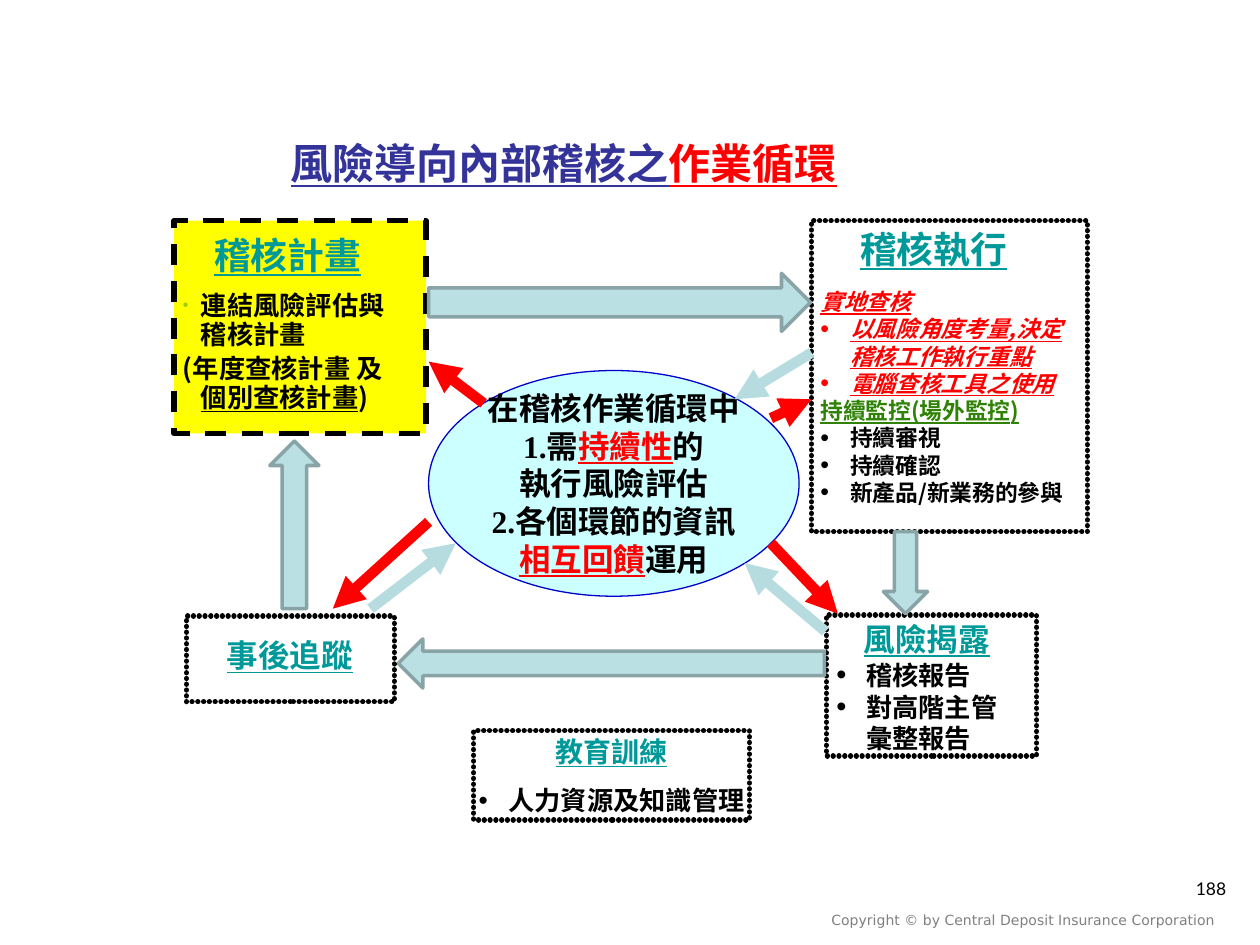
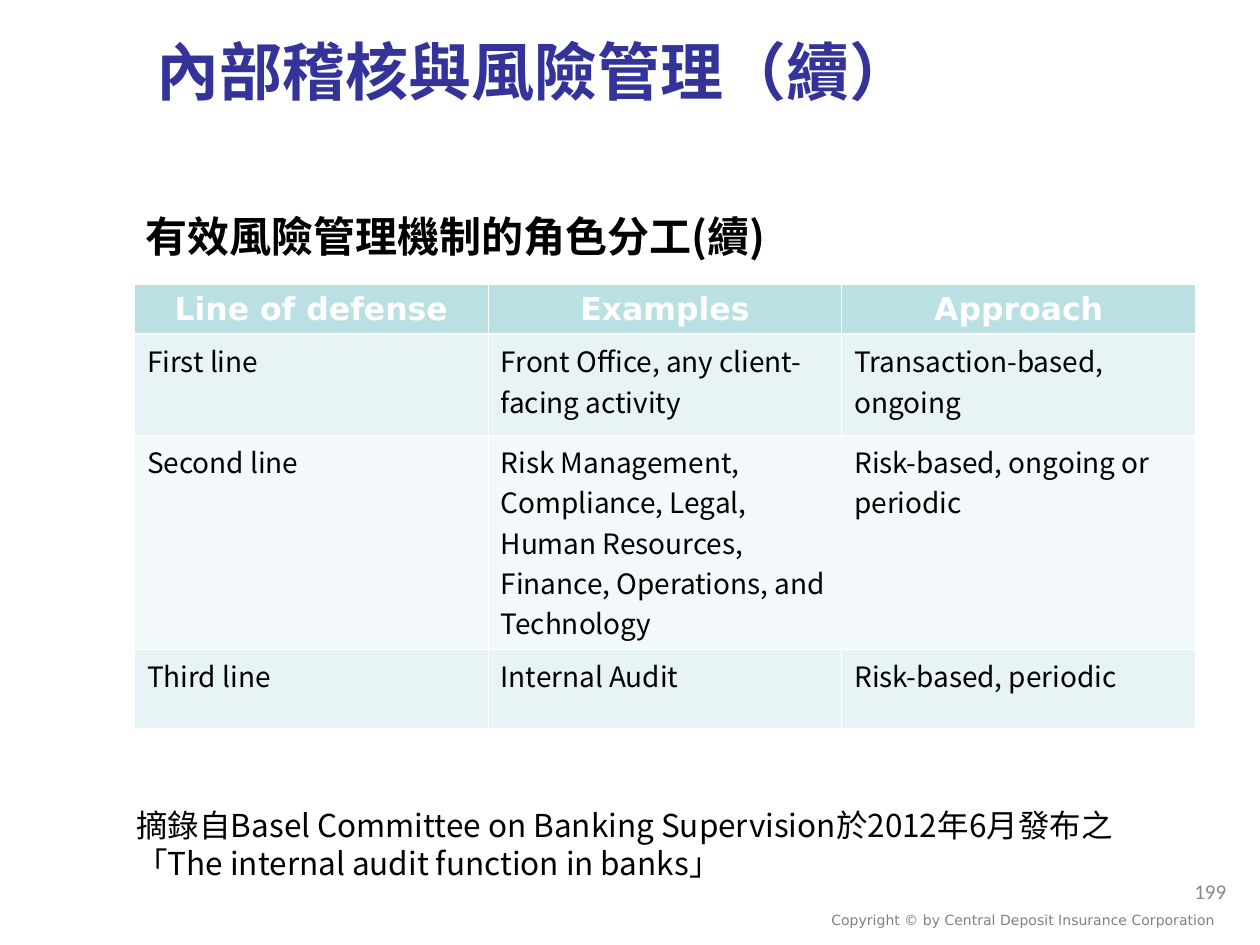
from dataclasses import dataclass, replace

from lxml.etree import SubElement
from pptx import Presentation
from pptx.dml.color import RGBColor
from pptx.enum.dml import MSO_LINE
from pptx.enum.shapes import MSO_CONNECTOR, MSO_SHAPE
from pptx.enum.text import MSO_ANCHOR as Anchor, MSO_AUTO_SIZE, PP_ALIGN as Align
from pptx.oxml.ns import qn
from pptx.util import Cm, Pt

CJK = "Noto Sans CJK SC"
BLACK, WHITE, RED, GREEN = "000000", "FFFFFF", "FF0000", "2F8206"
NAVY, TEAL, AQUA, AQUA_EDGE, FEEDBACK = "333399", "009999", "BBE0E3", "89A4A7", "B6DCDF"
BAND_DARK, BAND_LIGHT = "E7F3F4", "F3F9FA"
COPYRIGHT = "Copyright © by Central Deposit Insurance Corporation"
LEADING = 1.2
NARROW = (0.2, 0.1)
WIDE = (0.25, 0.13)
HANG = 0.6


@dataclass(frozen=True)
class Style:
    size: float
    color: str = BLACK
    font: str = CJK
    bold: bool = True
    italic: bool = False
    underline: bool = False


@dataclass(frozen=True)
class Para:
    runs: tuple
    bullet: str = ""
    bullet_size: int = 110
    hang: float = 0
    before: float = 0


def line(text, style, **options):
    return Para(((text, style),), **options)


def bullet(text, style, **options):
    return line(text, style, **{"bullet": style.color, "hang": HANG, **options})


def rgb(color):
    return RGBColor.from_string(color)


def box(bounds):
    return [Cm(length) for length in bounds]


def add_run(paragraph, text, style):
    run = paragraph.add_run()
    run.text = text
    font = run.font
    font.size, font.name = Pt(style.size), style.font
    font.bold, font.italic, font.underline = style.bold, style.italic, style.underline
    font.color.rgb = rgb(style.color)
    SubElement(run._r.get_or_add_rPr(), qn("a:ea")).set("typeface", CJK)


def set_bullet(paragraph, content):
    props = paragraph._p.get_or_add_pPr()
    props.set("marL", str(Cm(content.hang)))
    props.set("indent", str(-Cm(content.hang)))
    if not content.bullet:
        SubElement(props, qn("a:buNone"))
        return
    SubElement(SubElement(props, qn("a:buClr")), qn("a:srgbClr")).set("val", content.bullet)
    SubElement(props, qn("a:buSzPct")).set("val", str(content.bullet_size * 1000))
    SubElement(props, qn("a:buFont")).set("typeface", "Arial")
    SubElement(props, qn("a:buChar")).set("char", "•")


def write(frame, paragraphs, align=Align.LEFT, leading=LEADING):
    for index, content in enumerate(paragraphs):
        paragraph = frame.add_paragraph() if index else frame.paragraphs[0]
        set_bullet(paragraph, content)
        paragraph.alignment = align
        paragraph.space_before = Pt(content.before)
        if leading:
            paragraph.line_spacing = Pt(round(content.runs[0][1].size * leading, 1))
        for text, style in content.runs:
            add_run(paragraph, text, style)


def set_frame(frame, insets, anchor=Anchor.TOP, wrap=True):
    frame.auto_size = MSO_AUTO_SIZE.NONE
    frame.word_wrap = wrap
    frame.vertical_anchor = anchor
    frame.margin_left = frame.margin_right = Cm(insets[0])
    frame.margin_top = frame.margin_bottom = Cm(insets[1])


def add_text(slide, bounds, paragraphs, insets=WIDE, **options):
    frame = slide.shapes.add_textbox(*box(bounds)).text_frame
    set_frame(frame, insets)
    write(frame, paragraphs, **options)


def fill_placeholder(holder, bounds, paragraphs, insets):
    holder.left, holder.top, holder.width, holder.height = box(bounds)
    set_frame(holder.text_frame, insets)
    write(holder.text_frame, paragraphs)


def add_title(slide, bounds, *runs):
    fill_placeholder(slide.shapes.title, bounds, [Para(runs)], WIDE)


def add_heading(slide, bounds, text, size):
    add_text(slide, bounds, [line(text, Style(size, TEAL, underline=True))],
             NARROW, align=Align.CENTER)


def add_figure(slide, kind, bounds, fill, edge, weight):
    figure = slide.shapes.add_shape(kind, *box(bounds))
    figure.shadow.inherit = False
    if fill:
        figure.fill.solid()
        figure.fill.fore_color.rgb = rgb(fill)
    else:
        figure.fill.background()
    figure.line.color.rgb = rgb(edge)
    figure.line.width = Pt(weight)
    return figure


def bead_outline(figure):
    outline = figure.element.spPr.find(qn("a:ln"))
    outline.set("cap", "rnd")
    SubElement(SubElement(outline, qn("a:custDash")), qn("a:ds"), d="100000", sp="10000")


def add_stage(slide, bounds, fill=None, dash=None):
    stage = add_figure(slide, MSO_SHAPE.RECTANGLE, bounds, fill, BLACK, 3)
    if dash:
        stage.line.dash_style = dash
    else:
        bead_outline(stage)
    return stage


def add_arrow(slide, start, end, color):
    arrow = slide.shapes.add_connector(MSO_CONNECTOR.STRAIGHT, *box(start + end))
    arrow.line.color.rgb = rgb(color)
    arrow.line.width = Pt(6)
    props = arrow.element.spPr
    SubElement(props.find(qn("a:ln")), qn("a:tailEnd")).set("type", "triangle")
    SubElement(props, qn("a:effectLst"))


def set_borders(cell, header):
    props = cell._tc.get_or_add_tcPr()
    for side in ("lnL", "lnR", "lnT", "lnB"):
        weight = 1.47 if header and side == "lnB" else 0.45
        border = SubElement(props, qn(f"a:{side}"), w=str(Pt(weight)))
        SubElement(SubElement(border, qn("a:solidFill")), qn("a:srgbClr")).set("val", WHITE)


def add_grid(slide, bounds, heights, rows):
    grid = slide.shapes.add_table(len(rows), len(rows[0]), *box(bounds)).table
    header_style = Style(18, WHITE, "DejaVu Sans")
    entry_style = Style(16, bold=False)
    for index, (height, entries) in enumerate(zip(heights, rows)):
        header = index == 0
        grid.rows[index].height = Cm(height)
        fill = AQUA if header else BAND_DARK if index % 2 else BAND_LIGHT
        for cell, text in zip(grid.rows[index].cells, entries):
            set_borders(cell, header)
            cell.fill.solid()
            cell.fill.fore_color.rgb = rgb(fill)
            write(cell.text_frame, [line(text, header_style if header else entry_style)],
                  Align.CENTER if header else Align.LEFT, None)


def add_footer(slide, number, number_style):
    add_text(slide, (16.51, 18.24, 8.89, 0.61),
             [line(COPYRIGHT, Style(8, "808080", "DejaVu Sans", False))], leading=None)
    add_text(slide, (19.69, 17.58, 5.28, 1.27), [line(number, number_style)],
             align=Align.RIGHT, leading=None)


def add_stages(slide):
    add_stage(slide, (3.76, 12.42, 4.19, 1.73))
    add_stage(slide, (16.66, 12.4, 4.24, 2.84))
    add_stage(slide, (16.36, 4.45, 5.56, 6.27))
    add_stage(slide, (3.51, 4.45, 5.08, 4.29), "FFFF00", MSO_LINE.DASH)
    add_heading(slide, (4.12, 12.73, 3.45, 0.97), "事後追蹤", 18)
    add_heading(slide, (3.8, 4.6, 4, 1.09), "稽核計畫", 21)
    add_heading(slide, (16.82, 4.47, 4, 1.09), "稽核執行", 21)
    add_heading(slide, (16.93, 12.4, 3.5, 0.97), "風險揭露", 18)

    plain = Style(15)
    add_text(slide, (3.49, 5.8, 4.93, 2.62), [
        bullet("連結風險評估與稽核計畫", plain, bullet="99CC00", bullet_size=60, hang=0.36),
        Para((("(年度查核計畫 及", plain),
              ("個別查核計畫", replace(plain, underline=True)),
              (")", plain)), hang=0.36, before=3.7),
    ], NARROW, leading=LEADING * 0.9)

    training = add_stage(slide, (9.55, 14.73, 5.56, 1.8)).text_frame
    set_frame(training, WIDE, Anchor.MIDDLE, False)
    write(training, [
        line("教育訓練", Style(16, TEAL, "Arial", underline=True)),
        bullet("人力資源及知識管理", plain, bullet_size=100, before=9.4),
    ], Align.CENTER)


def add_stage_lists(slide):
    execution, disclosure = list(slide.placeholders)[1:3]
    onsite = Style(13, RED, italic=True, underline=True)
    monitoring = Style(13)
    fill_placeholder(execution, (16.34, 5.7, 5.7, 4.6), [
        line("實地查核", onsite),
        bullet("以風險角度考量,決定稽核工作執行重點", onsite),
        bullet("電腦查核工具之使用", onsite),
        line("持續監控(場外監控)", replace(monitoring, color=GREEN, underline=True)),
        *(bullet(text, monitoring) for text in ("持續審視", "持續確認", "新產品/新業務的參與")),
    ], NARROW)
    fill_placeholder(disclosure, (16.66, 13.19, 4.06, 2.11),
                     [bullet(text, Style(15)) for text in ("稽核報告", "對高階主管彙整報告")],
                     NARROW)


def add_cycle_core(slide):
    core = add_figure(slide, MSO_SHAPE.OVAL, (8.64, 7.47, 7.47, 4.55),
                      "CCFFFF", "0000CC", 0.75).text_frame
    set_frame(core, NARROW, Anchor.MIDDLE, False)
    plain = Style(18, font="Times New Roman")
    key = replace(plain, color=RED, underline=True)
    write(core, [
        line("在稽核作業循環中", plain),
        Para((("1.需", plain), ("持續性", key), ("的", plain))),
        line("執行風險評估", plain),
        line("2.各個環節的資訊", plain),
        Para((("相互回饋", key), ("運用", plain))),
    ], Align.CENTER)


def add_cycle_arrows(slide):
    for kind, bounds in (
        (MSO_SHAPE.RIGHT_ARROW, (8.64, 5.51, 7.7, 1.17)),
        (MSO_SHAPE.DOWN_ARROW, (17.81, 10.72, 0.89, 1.65)),
        (MSO_SHAPE.LEFT_ARROW, (8.03, 12.88, 8.59, 0.99)),
        (MSO_SHAPE.UP_ARROW, (5.44, 8.89, 0.99, 3.38)),
    ):
        add_figure(slide, kind, bounds, AQUA, AQUA_EDGE, 2)
    for start, end, color in (
        ((16.64, 12.73), (15.01, 11.35), FEEDBACK),
        ((9.75, 8.13), (8.64, 7.29), RED),
        ((16.36, 7.11), (14.81, 8.05), FEEDBACK),
        ((7.47, 12.27), (9.19, 10.95), FEEDBACK),
        ((15.54, 10.95), (16.89, 12.37), RED),
        ((15.54, 8.43), (16.36, 8.05), RED),
        ((8.64, 10.52), (6.71, 12.27), RED),
    ):
        add_arrow(slide, start, end, color)


def build_cycle(deck):
    slide = deck.slides.add_slide(deck.slide_layouts[3])
    title = Style(24, NAVY, underline=True)
    add_title(slide, (5.61, 2.64, 14.12, 1.27),
              ("風險導向內部稽核之", title), ("作業循環", replace(title, color=RED)))
    add_stage_lists(slide)
    add_stages(slide)
    add_cycle_core(slide)
    add_cycle_arrows(slide)
    add_footer(slide, "188", Style(10, font="Lato", bold=False))


def build_defense_lines(deck):
    slide = deck.slides.add_slide(deck.slide_layouts[5])
    add_title(slide, (2.9, 0.53, 21.51, 3.2), ("內部稽核與風險管理（續）", Style(36, NAVY)))
    add_text(slide, (2.69, 4.12, 20.19, 1.27),
             [line("有效風險管理機制的角色分工(續)", Style(24))])
    add_grid(slide, (2.71, 5.74, 21.39, 8.97), (1, 2.03, 4.32, 1.6), (
        ("Line of defense", "Examples", "Approach"),
        ("First line", "Front Office, any client-facing activity",
         "Transaction-based, ongoing"),
        ("Second line", "Risk Management, Compliance, Legal, Human Resources, "
         "Finance, Operations, and Technology", "Risk-based, ongoing or periodic"),
        ("Third line", "Internal Audit", "Risk-based, periodic"),
    ))
    add_text(slide, (2.5, 16.12, 20.19, 1.78), [line(
        "摘錄自Basel Committee on Banking Supervision於2012年6月發布之"
        "「The internal audit function in banks」", Style(18, bold=False))])
    add_footer(slide, "199", Style(12, "898989", "Calibri", False))


def main():
    deck = Presentation()
    deck.slide_width, deck.slide_height = Cm(25.4), Cm(19.05)
    build_cycle(deck)
    build_defense_lines(deck)
    deck.save("out.pptx")


if __name__ == "__main__":
    main()
